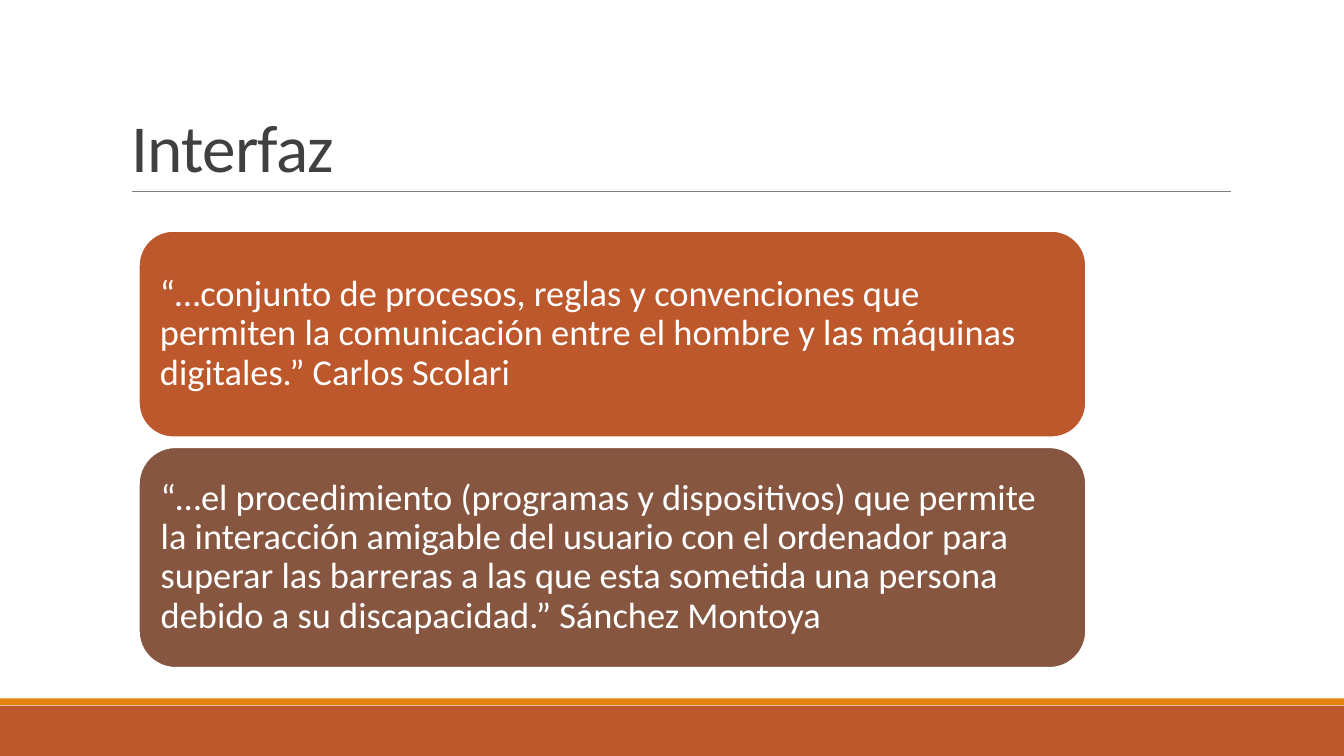
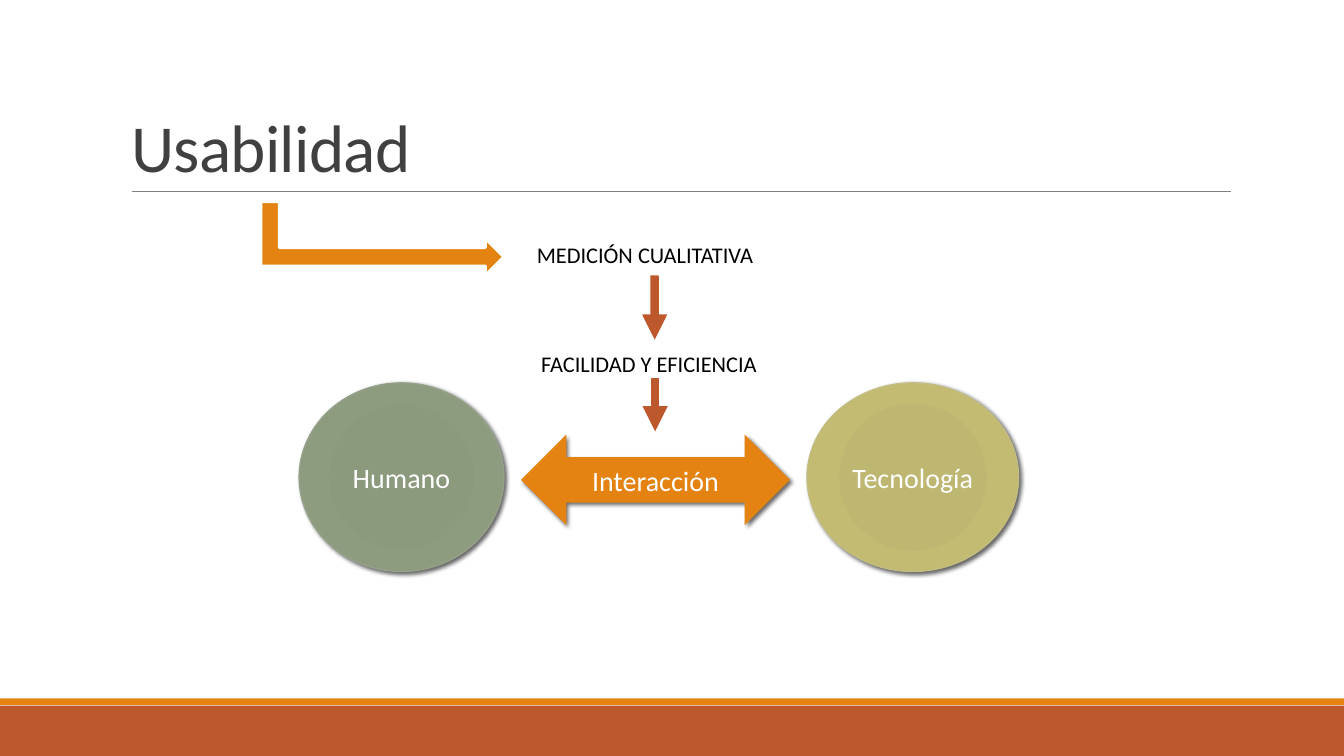
from lxml.etree import SubElement
from pptx import Presentation
from pptx.dml.color import RGBColor
from pptx.enum.shapes import MSO_CONNECTOR, MSO_SHAPE
from pptx.enum.text import MSO_ANCHOR, MSO_AUTO_SIZE, PP_ALIGN
from pptx.oxml import parse_xml
from pptx.oxml.ns import nsdecls, qn
from pptx.util import Cm, Pt

RUST = RGBColor(0xBD, 0x58, 0x2C)
ORANGE = RGBColor(0xE4, 0x83, 0x12)
BROWN = RGBColor(0x86, 0x56, 0x40)
SAGE = RGBColor(0x94, 0xA0, 0x88)
OLIVE = RGBColor(0xC2, 0xBC, 0x80)
INK = RGBColor(0x40, 0x40, 0x40)
GREY = RGBColor(0x80, 0x80, 0x80)
BLACK = RGBColor(0, 0, 0)
WHITE = RGBColor(0xFF, 0xFF, 0xFF)
SAGE_STOPS = [(0, "8A987B"), (34, "8B997D"), (70, "8D9C7E"), (100, "94A187")]
OLIVE_STOPS = [(0, "BEB76E"), (34, "BEB771"), (70, "C3BB71"), (100, "C5BF7D")]
FONT = "Calibri"
WIDTH, HEIGHT = 33.87, 19.05


class Deck:
    """Holds the presentation style and the current slide."""

    def __init__(self):
        self.prs = Presentation()
        self.prs.slide_width, self.prs.slide_height = Cm(WIDTH), Cm(HEIGHT)
        self.s = None

    def slide(self, title):
        self.s = self.prs.slides.add_slide(self.prs.slide_layouts[5])
        self.shape(MSO_SHAPE.RECTANGLE, 0, 17.78, WIDTH, 1.27, RUST)
        self.shape(MSO_SHAPE.RECTANGLE, 0, 17.6, WIDTH, 0.17, ORANGE)
        self.line(3.32, 4.83, 31.02, 4.83, GREY, 0.5)
        sp = self.s.shapes.title
        sp.left, sp.top, sp.width, sp.height = Cm(3.05), Cm(0.79), Cm(27.94), Cm(4.04)
        r = self.text(sp, title, 48, INK, anchor=MSO_ANCHOR.BOTTOM, spacing=0.85)
        r._r.get_or_add_rPr().set("spc", "-50")

    def text(self, sp, text, size, color, align=PP_ALIGN.LEFT,
             anchor=MSO_ANCHOR.MIDDLE, spacing=1.0):
        tf = sp.text_frame
        tf.text = text
        tf.word_wrap = True
        tf.auto_size = MSO_AUTO_SIZE.NONE
        tf.vertical_anchor = anchor
        p = tf.paragraphs[0]
        p.alignment, p.line_spacing = align, spacing
        r = p.runs[0]
        r.font.name, r.font.size, r.font.color.rgb = FONT, Pt(size), color
        return r

    def shape(self, kind, x, y, w, h, fill, line=None, weight=1):
        sp = self.s.shapes.add_shape(kind, Cm(x), Cm(y), Cm(w), Cm(h))
        sp.shadow.inherit = False
        sp.fill.solid()
        sp.fill.fore_color.rgb = fill
        if line is None:
            sp.line.fill.background()
        else:
            sp.line.color.rgb, sp.line.width = line, Pt(weight)
        return sp

    def quote(self, y, h, fill, text):
        sp = self.shape(MSO_SHAPE.ROUNDED_RECTANGLE, 3.5, y, 23.87, h, fill, WHITE, 1.25)
        tf = sp.text_frame
        tf.margin_left = tf.margin_right = tf.margin_top = tf.margin_bottom = Cm(0.28)
        self.text(sp, text, 26, WHITE, spacing=0.9)

    def raised(self, kind, x, y, w, h, text, fill, line=None, stops=()):
        sp = self.shape(kind, x, y, w, h, fill, line)
        spPr = sp._element.spPr
        if stops:
            gs = "".join(f'<a:gs pos="{pos * 1000}"><a:srgbClr val="{rgb}"/></a:gs>'
                         for pos, rgb in stops)
            grad = parse_xml(
                f'<a:gradFill {nsdecls("a")}><a:gsLst>{gs}</a:gsLst><a:path path="circle">'
                '<a:fillToRect l="100000" t="100000" r="100000" b="100000"/>'
                '</a:path></a:gradFill>')
            spPr.replace(spPr.find(qn("a:solidFill")), grad)
        spPr.find(qn("a:effectLst")).append(parse_xml(
            f'<a:outerShdw {nsdecls("a")} blurRad="{Pt(3)}" dist="{Pt(2)}" dir="2700000"'
            ' rotWithShape="0"><a:srgbClr val="000000"><a:alpha val="60000"/>'
            '</a:srgbClr></a:outerShdw>'))
        self.text(sp, text, 20, WHITE, PP_ALIGN.CENTER)

    def label(self, x, y, w, text, wrap=True):
        sp = self.s.shapes.add_textbox(Cm(x), Cm(y), Cm(w), Cm(1.12))
        r = self.text(sp, text, 20, BLACK, anchor=MSO_ANCHOR.TOP)
        r._r.get_or_add_rPr().set("cap", "small")
        sp.text_frame.word_wrap = wrap
        sp.text_frame.auto_size = MSO_AUTO_SIZE.SHAPE_TO_FIT_TEXT
        return sp

    def line(self, x1, y1, x2, y2, color, weight):
        cx = self.s.shapes.add_connector(
            MSO_CONNECTOR.STRAIGHT, Cm(x1), Cm(y1), Cm(x2), Cm(y2))
        cx.line.color.rgb, cx.line.width = color, Pt(weight)
        SubElement(cx._element.spPr, qn("a:effectLst"))
        return cx

    def arrow(self, x, y1, y2):
        cx = self.line(x, y1, x, y2, RUST, 6)
        ln = cx._element.spPr.find(qn("a:ln"))
        SubElement(ln, qn("a:tailEnd"), type="triangle")
        return cx


def main():
    deck = Deck()

    deck.slide("Interfaz")
    deck.quote(5.82, 5.2, RUST,
               "“…conjunto de procesos, reglas y convenciones que permiten la "
               "comunicación entre el hombre y las máquinas digitales.” Carlos Scolari")
    deck.quote(11.27, 5.56, BROWN,
               "“…el procedimiento (programas y dispositivos) que permite la interacción "
               "amigable del usuario con el ordenador para superar las barreras a las que "
               "esta sometida una persona debido a su discapacidad.” Sánchez Montoya")

    deck.slide("Usabilidad")
    deck.raised(MSO_SHAPE.OVAL, 7.54, 9.65, 5.16, 4.75, "Humano", SAGE, SAGE, SAGE_STOPS)
    deck.raised(MSO_SHAPE.OVAL, 20.34, 9.65, 5.33, 4.75, "Tecnología",
                OLIVE, OLIVE, OLIVE_STOPS)
    deck.raised(MSO_SHAPE.LEFT_RIGHT_ARROW, 13.13, 10.95, 6.78, 2.29, "Interacción", ORANGE)
    measure = deck.label(13.28, 5.82, 6.43, "medición cualitativa")
    ease = deck.label(13.39, 8.56, 6.22, "facilidad y eficiencia", wrap=False)
    link = deck.arrow(16.5, 6.94, 8.56)
    link.begin_connect(measure, 2)
    link.end_connect(ease, 0)
    deck.arrow(16.51, 9.53, 10.87)
    bent = deck.shape(MSO_SHAPE.BENT_UP_ARROW, 8.71, 2.95, 1.85, 6.12, ORANGE, WHITE, 2)
    bent.rotation = 90

    deck.prs.save("out.pptx")


if __name__ == "__main__":
    main()
